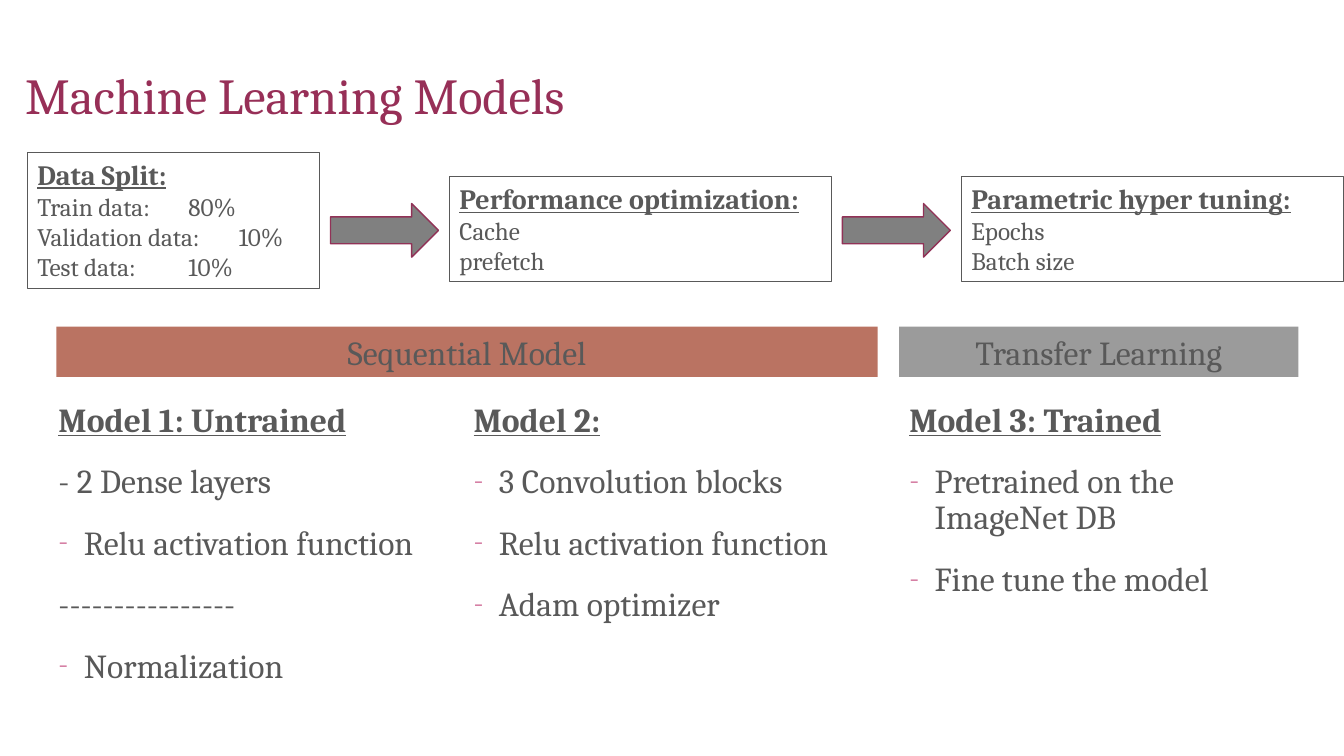
from lxml import etree
from pptx import Presentation
from pptx import util as u
from pptx.dml.color import RGBColor
from pptx.enum import shapes, text
from pptx.oxml.ns import qn

PLUM = RGBColor(0x97, 0x2F, 0x57)
ARROW_EDGE = RGBColor(0x91, 0x32, 0x57)
INK = RGBColor(0x59, 0x59, 0x59)
PINK = RGBColor(0xD6, 0x80, 0xA5)
ARROW_GRAY = RGBColor(0x80, 0x80, 0x80)
CLAY = RGBColor(0xBA, 0x73, 0x62)
SILVER = RGBColor(0x9B, 0x9B, 0x9B)


class ModelSlide:
    """Draws the elements of the slide in one shared style."""

    font = "Cambria"

    def __init__(self, deck):
        self.slide = deck.slides.add_slide(deck.slide_layouts[4])

    def place(self, holder, left, top, width, height):
        holder.left, holder.top = u.Cm(left), u.Cm(top)
        holder.width, holder.height = u.Cm(width), u.Cm(height)
        frame = holder.text_frame
        frame.word_wrap = True
        frame.auto_size = text.MSO_AUTO_SIZE.NONE
        return frame

    def add_words(self, paragraph, words, size, color=INK, heading=False):
        run = paragraph.add_run()
        run.text = words
        run.font.name, run.font.size = self.font, u.Pt(size)
        run.font.color.rgb = color
        run.font.bold = run.font.underline = heading

    def title(self, words, *area):
        frame = self.place(self.slide.shapes.title, *area)
        frame.vertical_anchor = text.MSO_ANCHOR.BOTTOM
        line = frame.paragraphs[0]
        line.alignment = text.PP_ALIGN.LEFT
        line.line_spacing = 0.9
        self.add_words(line, words, 36, PLUM)

    def mark(self, paragraph, dashed):
        props = paragraph._p.get_or_add_pPr()
        indent = u.Cm(0.64) if dashed else 0
        props.set("marL", str(indent))
        props.set("indent", str(-indent))
        if not dashed:
            etree.SubElement(props, qn("a:buNone"))
            return
        color = etree.SubElement(props, qn("a:buClr"))
        etree.SubElement(color, qn("a:srgbClr"), val=str(PINK))
        etree.SubElement(props, qn("a:buSzPct"), val="90000")
        etree.SubElement(props, qn("a:buFont"), typeface=self.font)
        etree.SubElement(props, qn("a:buChar"), char="-")

    def model(self, index, left, height, heading, features):
        frame = self.place(self.slide.placeholders[index], left, 10.03, 10.44, height)
        frame.vertical_anchor = text.MSO_ANCHOR.TOP
        for order, (words, dashed) in enumerate([(heading, False), *features]):
            line = frame.add_paragraph() if order else frame.paragraphs[0]
            self.mark(line, dashed)
            line.line_spacing = 0.9
            line.space_before = u.Pt(18 if order else 0)
            self.add_words(line, words, 24, heading=order == 0)

    def shape(self, kind, area, fill=None, edge=None, weight=0.75):
        shape = self.slide.shapes.add_shape(kind, *map(u.Cm, area))
        shape.shadow.inherit = False
        if fill is None:
            shape.fill.background()
        else:
            shape.fill.solid()
            shape.fill.fore_color.rgb = fill
        if edge is None:
            shape.line.fill.background()
        else:
            shape.line.color.rgb = edge
            shape.line.width = u.Pt(weight)
        shape.text_frame.word_wrap = True
        shape.text_frame.vertical_anchor = text.MSO_ANCHOR.TOP
        return shape

    def step(self, area, heading, details):
        frame = self.shape(shapes.MSO_SHAPE.RECTANGLE, area, edge=INK).text_frame
        for order, words in enumerate([heading, *details]):
            line = frame.add_paragraph() if order else frame.paragraphs[0]
            line.alignment = text.PP_ALIGN.LEFT
            self.add_words(line, words, 18 if order else 20, heading=order == 0)

    def arrow(self, left):
        self.shape(shapes.MSO_SHAPE.RIGHT_ARROW, (left, 5.13, 2.72, 1.35),
                   ARROW_GRAY, ARROW_EDGE, 1)

    def banner(self, left, width, fill, words):
        bar = self.shape(shapes.MSO_SHAPE.RECTANGLE, (left, 8.23, width, 1.27), fill)
        line = bar.text_frame.paragraphs[0]
        line.alignment = text.PP_ALIGN.CENTER
        self.add_words(line, words, 24)

    def drop_empty(self):
        for holder in list(self.slide.placeholders):
            if not holder.text_frame.text:
                holder._element.getparent().remove(holder._element)


def main():
    deck = Presentation()
    deck.slide_width, deck.slide_height = u.Cm(33.87), u.Cm(19.05)
    page = ModelSlide(deck)
    page.title("Machine Learning Models", 0.38, 0, 27.94, 3.3)

    page.model(1, 1.22, 8.23, "Model 1: Untrained", [
        ("- 2 Dense layers", False), ("Relu activation function", True),
        ("----------------", False), ("Normalization", True)])
    page.model(2, 11.68, 8.61, "Model 2:", [
        ("3 Convolution blocks", True), ("Relu activation function", True),
        ("Adam optimizer", True)])
    page.model(4, 22.66, 9.02, "Model 3: Trained", [
        ("Pretrained on the ImageNet DB", True), ("Fine tune the model", True)])
    page.drop_empty()

    page.step((0.69, 3.84, 7.37, 3.43), "Data Split:", [
        "Train data: \t80%", "Validation data: \t10%", "Test data: \t10%"])
    tuning = [("Performance optimization:", ["Cache", "prefetch"]),
              ("Parametric hyper tuning:", ["Epochs", "Batch size"])]
    for order, (heading, details) in enumerate(tuning):
        shift = order * 12.9
        page.arrow(8.33 + shift)
        page.step((11.33 + shift, 4.45, 9.63, 2.64), heading, details)

    page.banner(1.42, 20.7, CLAY, "Sequential Model")
    page.banner(22.66, 10.06, SILVER, "Transfer Learning")
    deck.save("out.pptx")


if __name__ == "__main__":
    main()
